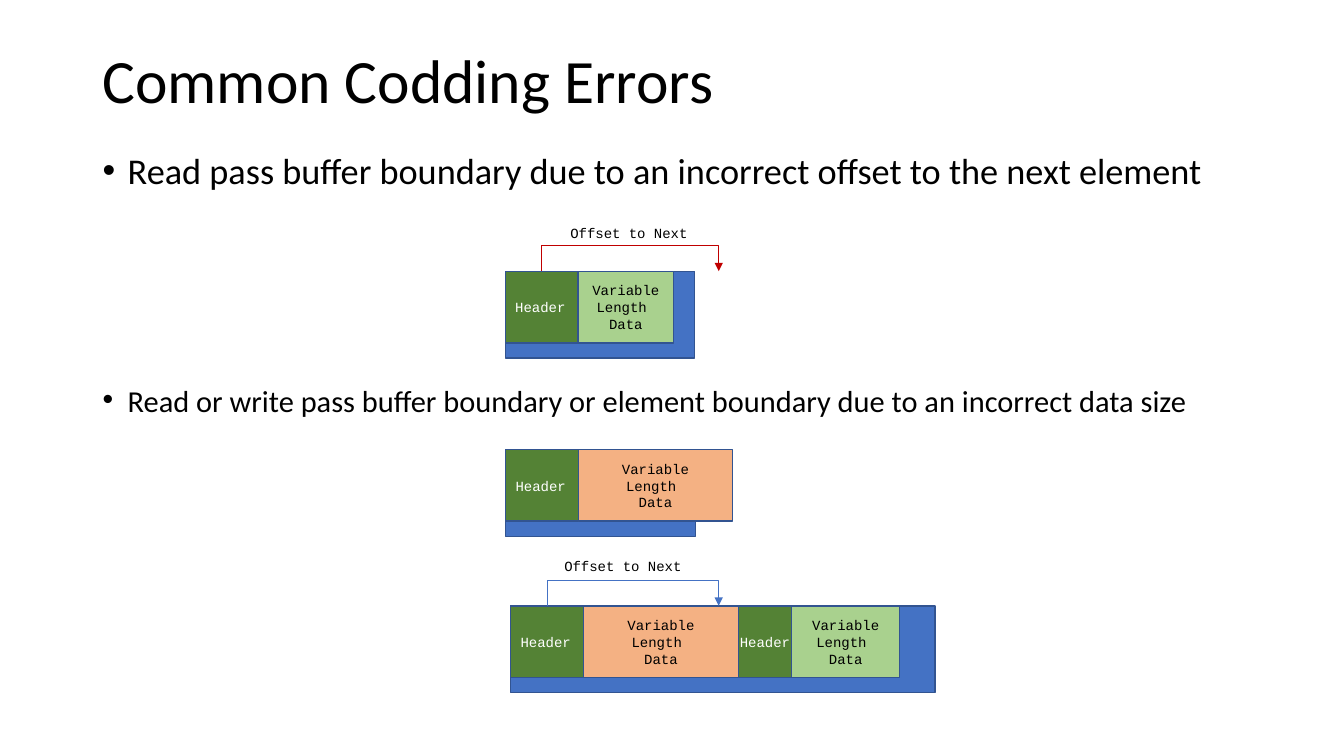
from pptx import Presentation
from pptx.dml.color import RGBColor
from pptx.enum.shapes import MSO_SHAPE
from pptx.enum.text import MSO_ANCHOR, PP_ALIGN
from pptx.oxml.ns import qn
from pptx.util import Pt
from lxml import etree

RECT = MSO_SHAPE.RECTANGLE
TOP, MIDDLE = MSO_ANCHOR.TOP, MSO_ANCHOR.MIDDLE
LEFT, CENTER = PP_ALIGN.LEFT, PP_ALIGN.CENTER
BLACK = RGBColor(0x00, 0x00, 0x00)
WHITE = RGBColor(0xFF, 0xFF, 0xFF)
BLUE = RGBColor(0x44, 0x72, 0xC4)
BORDER = RGBColor(0x32, 0x54, 0x91)
GREEN = RGBColor(0x54, 0x82, 0x35)
LIGHT_GREEN = RGBColor(0xA9, 0xD1, 0x8E)
ORANGE = RGBColor(0xF4, 0xB1, 0x83)
RED = RGBColor(0xC0, 0x00, 0x00)
SANS, MONO = "Calibri", "Courier New"

TITLE = "Common Codding Errors"
BULLETS = [
    ("Read pass buffer boundary due to an incorrect offset to the next element", 105.8, 25.9, 0.9),
    ("Read or write pass buffer boundary or element boundary due to an incorrect data size",
     276.5, 21.7, 0.7),
]
HEADER = ["Header"]
DATA = ["Variable", "Length ", "Data"]
OFFSET = ["Offset to Next"]

MARGIN, TEXT_W = 66.2, 828
HEADER_W, ELEMENT_H, BUFFER_H = 51.9, 51.1, 61.9
ARROW_END, ARROW_RISE = 513.4, 18.2
LABEL_W, LABEL_H = 98.6, 18.7
INSET, OVERRUN_INSET = 7.2, 14.8

# (left, top, width, elements as (header left, header inset, data width, data colour))
BUFFERS = [
    (360.9, 193.8, 135.4, [(360.9, INSET, 68.4, LIGHT_GREEN)]),
    (361.2, 321.2, 135.4, [(361.2, INSET, 110.2, ORANGE)]),
    (364.8, 432.8, 303.1, [(513.7, OVERRUN_INSET, 77, LIGHT_GREEN),
                           (364.8, INSET, 110.9, ORANGE)]),
]
OFFSETS = [
    (386.6, 193.7, RED, 400.3, 157),
    (391, 432.7, BLUE, 396, 394.6),
]


def write(shape, lines, size, font, color, align=LEFT, anchor=MIDDLE, spacing=None):
    tf = shape.text_frame
    tf.word_wrap = True
    tf.vertical_anchor = anchor
    for i, line in enumerate(lines):
        p = tf.paragraphs[0] if i == 0 else tf.add_paragraph()
        p.alignment = align
        if spacing:
            p.line_spacing = spacing
        r = p.add_run()
        r.text = line
        r.font.size = Pt(size)
        r.font.name = font
        r.font.color.rgb = color
    return tf


def text_box(s, x, y, w, h, *args, **kwargs):
    box = s.shapes.add_textbox(Pt(x), Pt(y), Pt(w), Pt(h))
    return write(box, *args, **kwargs)


def bullet(s, text, y, size, spacing):
    tf = text_box(s, MARGIN, y, TEXT_W, 41, [text], size, SANS, BLACK,
                  anchor=TOP, spacing=spacing)
    p = tf.paragraphs[0]
    p.space_before = Pt(10)
    pPr = p._p.get_or_add_pPr()
    pPr.set("marL", str(Pt(18)))
    pPr.set("indent", str(-Pt(18)))
    etree.SubElement(pPr, qn("a:buFont")).set("typeface", "Arial")
    etree.SubElement(pPr, qn("a:buChar")).set("char", "•")


def block(s, x, y, w, h, fill):
    shape = s.shapes.add_shape(RECT, Pt(x), Pt(y), Pt(w), Pt(h))
    shape.shadow.inherit = False
    shape.fill.solid()
    shape.fill.fore_color.rgb = fill
    shape.line.color.rgb = BORDER
    shape.line.width = Pt(1)
    return shape


def offset_arrow(s, x, y, color):
    top = y - ARROW_RISE
    route = s.shapes.build_freeform(Pt(x), Pt(y))
    route.add_line_segments(
        [(Pt(x), Pt(top)), (Pt(ARROW_END), Pt(top)), (Pt(ARROW_END), Pt(y))], close=False)
    arrow = route.convert_to_shape()
    arrow.shadow.inherit = False
    arrow.fill.background()
    arrow.line.color.rgb = color
    arrow.line.width = Pt(0.5)
    ln = arrow.line._get_or_add_ln()
    etree.SubElement(ln, qn("a:tailEnd")).set("type", "triangle")


def main():
    prs = Presentation()
    prs.slide_width, prs.slide_height = Pt(960), Pt(540)
    s = prs.slides.add_slide(prs.slide_layouts[6])

    text_box(s, MARGIN, 28.8, TEXT_W, 61.9, [TITLE], 44, SANS, BLACK, spacing=0.9)
    for item in BULLETS:
        bullet(s, *item)

    for x, y, w, elements in BUFFERS:
        block(s, x, y, w, BUFFER_H, BLUE)
        for left, inset, data_w, color in elements:
            header = block(s, left, y, HEADER_W, ELEMENT_H, GREEN)
            tf = write(header, HEADER, 10, MONO, WHITE)
            tf.margin_left, tf.margin_right = Pt(inset), Pt(0)
            data = block(s, left + HEADER_W, y, data_w, ELEMENT_H, color)
            write(data, DATA, 10, MONO, BLACK, CENTER)

    for x, y, color, label_x, label_y in OFFSETS:
        offset_arrow(s, x, y, color)
        text_box(s, label_x, label_y, LABEL_W, LABEL_H, OFFSET, 10, MONO, BLACK)

    prs.save("out.pptx")


if __name__ == "__main__":
    main()
